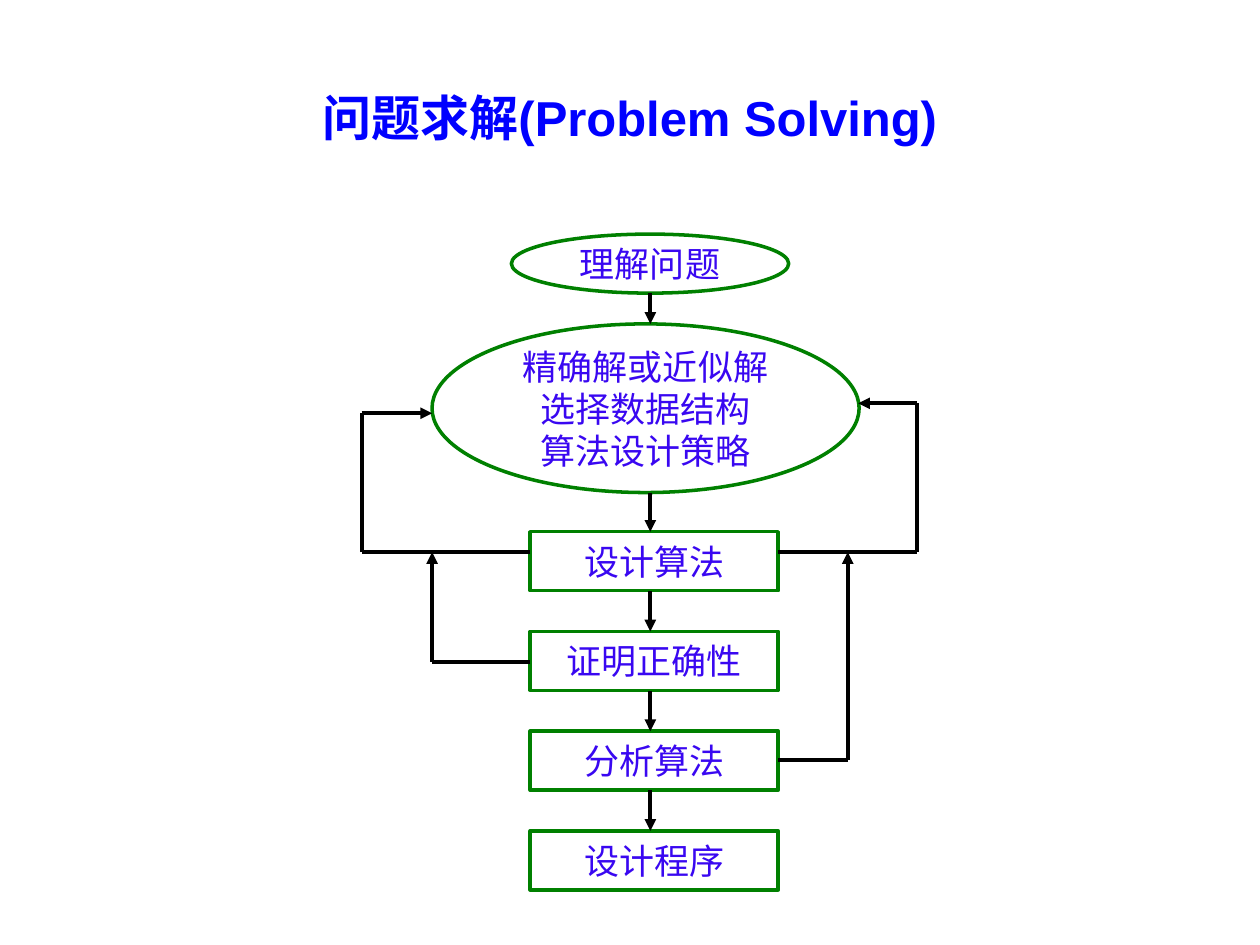
import itertools

import lxml.etree
import pptx
import pptx.dml.color
import pptx.enum.shapes
import pptx.enum.text
import pptx.oxml.ns
import pptx.util

Cm = pptx.util.Cm
Pt = pptx.util.Pt
qn = pptx.oxml.ns.qn
ShapeType = pptx.enum.shapes.MSO_SHAPE


def set_color(color_format, hex_color):
    """Set a fill, line or font colour from a hex string."""
    color_format.rgb = pptx.dml.color.RGBColor.from_string(hex_color)


def write_lines(shape, lines, size, hex_color, bold=False):
    """Write centred lines of text, one paragraph each."""
    frame = shape.text_frame
    frame.vertical_anchor = pptx.enum.text.MSO_ANCHOR.MIDDLE
    for index, line in enumerate(lines):
        paragraph = frame.add_paragraph() if index else frame.paragraphs[0]
        paragraph.alignment = pptx.enum.text.PP_ALIGN.CENTER
        run = paragraph.add_run()
        run.text = line
        run.font.name = "Arial"
        run.font.size = Pt(size)
        run.font.bold = bold
        set_color(run.font.color, hex_color)


presentation = pptx.Presentation()
presentation.slide_width = Cm(25.4)
presentation.slide_height = Cm(19.05)
slide = presentation.slides.add_slide(presentation.slide_layouts[6])

title = slide.shapes.add_textbox(Cm(1.27), Cm(0.76), Cm(22.86), Cm(3.18))
title.text_frame.word_wrap = True
write_lines(title, ["问题求解(Problem Solving)"], 28, "0000FF", bold=True)

# Steps from top to bottom: preset, left, top, width, height, lines
box_left, box_width, step_height = 10.69, 5.0, 1.19
first_box_top, box_step = 10.72, 2.01
steps = [
    (ShapeType.OVAL, 10.31, 4.72, 5.59, step_height, ["理解问题"]),
    (ShapeType.OVAL, 8.71, 6.53, 8.61, 3.4,
     ["精确解或近似解", "选择数据结构", "算法设计策略"]),
]
for index, label in enumerate(["设计算法", "证明正确性", "分析算法", "设计程序"]):
    top = first_box_top + index * box_step
    steps.append((ShapeType.RECTANGLE, box_left, top, box_width, step_height, [label]))

for preset, left, top, width, height, lines in steps:
    shape = slide.shapes.add_shape(preset, Cm(left), Cm(top), Cm(width), Cm(height))
    shape.shadow.inherit = False
    shape.fill.solid()
    set_color(shape.fill.fore_color, "FFFFFF")
    set_color(shape.line.color, "008000")
    shape.line.width = Pt(2)
    shape.text_frame.word_wrap = False
    write_lines(shape, lines, 20, "3907F1")

# Each route is a chain of points with an arrowhead at its end
flow_x, design_y = 13.11, 11.13
box_right = box_left + box_width
routes = [
    [(flow_x, upper[2] + upper[4]), (flow_x, lower[2])]
    for upper, lower in itertools.pairwise(steps)
]
routes += [
    [(box_left, design_y), (7.29, design_y), (7.29, 8.33), (8.71, 8.33)],
    [(box_right, design_y), (18.49, design_y), (18.49, 8.13), (17.3, 8.13)],
    [(box_left, 13.34), (8.71, 13.34), (8.71, design_y)],
    [(box_right, 15.32), (17.09, 15.32), (17.09, design_y)],
]

for route in routes:
    for start, end in itertools.pairwise(route):
        connector = slide.shapes.add_connector(
            pptx.enum.shapes.MSO_CONNECTOR.STRAIGHT,
            Cm(start[0]), Cm(start[1]), Cm(end[0]), Cm(end[1]))
        set_color(connector.line.color, "000000")
        connector.line.width = Pt(2.25)
        properties = connector._element.spPr
        lxml.etree.SubElement(properties, qn("a:effectLst"))
        if end == route[-1]:
            line = properties.find(qn("a:ln"))
            lxml.etree.SubElement(line, qn("a:tailEnd"), type="triangle")

presentation.save("out.pptx")
